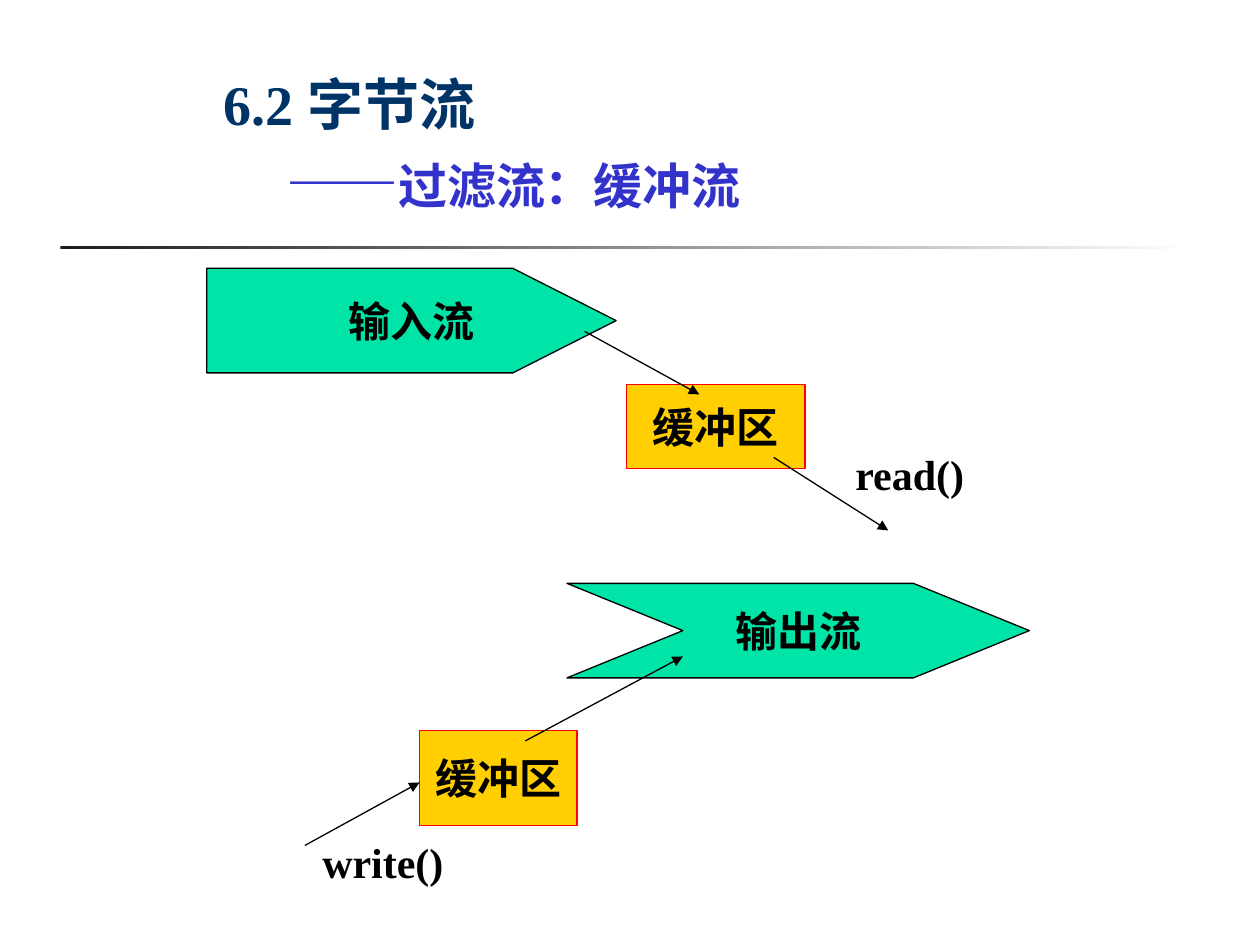
from dataclasses import dataclass

from lxml.etree import SubElement
from pptx import Presentation
from pptx.dml.color import RGBColor
from pptx.enum.shapes import MSO_CONNECTOR, MSO_SHAPE
from pptx.enum.text import MSO_ANCHOR, MSO_AUTO_SIZE, PP_ALIGN
from pptx.oxml.ns import qn
from pptx.util import Inches, Pt

FONT = "Times New Roman"
COLORS = {
    "heading": "003366",
    "subheading": "3333CC",
    "rule": "1C1C1C",
    "white": "FFFFFF",
    "black": "000000",
    "stream": "00E4A8",
    "buffer": "FFCF01",
    "buffer_edge": "FF0000",
}


@dataclass
class Stream:
    text: str
    left: float
    top: float
    width: float
    height: float
    point: float  # length of the arrow tip
    notch: float  # depth of the cut at the tail


@dataclass
class Box:
    text: str
    left: float
    top: float
    width: float
    height: float


@dataclass
class Arrow:
    start: tuple[float, float]
    end: tuple[float, float]


STREAMS = [
    Stream("输出流", 4.5, 4.63, 3.67, 0.75, 0.92, 0.92),
    Stream("输入流", 1.64, 2.13, 3.25, 0.83, 0.82, 0),
]
BUFFERS = [
    Box("缓冲区", 3.33, 5.8, 1.25, 0.75),
    Box("缓冲区", 4.97, 3.05, 1.42, 0.67),
]
ARROWS = [
    Arrow((2.42, 6.71), (3.33, 6.21)),
    Arrow((4.17, 5.88), (5.42, 5.21)),
    Arrow((4.64, 2.63), (5.55, 3.13)),
    Arrow((6.14, 3.63), (7.05, 4.21)),
]
LABELS = [
    Box("write()", 2.46, 6.59, 1.16, 0.5),
    Box("read()", 6.69, 3.51, 1.07, 0.5),
]


def rgb(name: str) -> RGBColor:
    return RGBColor.from_string(COLORS[name])


def set_font(font, size: float, color: str) -> None:
    font.name = FONT
    font.size = Pt(size)
    font.bold = True
    font.color.rgb = rgb(color)


def write_text(shape, text: str, align: PP_ALIGN, anchor: MSO_ANCHOR) -> None:
    frame = shape.text_frame
    frame.word_wrap = False
    frame.vertical_anchor = anchor
    para = frame.paragraphs[0]
    para.text = text
    para.alignment = align
    set_font(para.font, 24, "black")


def paint(shape, fill: str, edge: str) -> None:
    shape.shadow.inherit = False
    shape.fill.solid()
    shape.fill.fore_color.rgb = rgb(fill)
    shape.line.color.rgb = rgb(edge)
    shape.line.width = Pt(0.75)


def add_title(page) -> None:
    title = page.shapes.title
    title.left, title.top = Inches(1.67), Inches(0.5)
    title.width, title.height = Inches(6.08), Inches(1.27)
    frame = title.text_frame
    frame.word_wrap = True
    frame.auto_size = MSO_AUTO_SIZE.NONE
    frame.vertical_anchor = MSO_ANCHOR.TOP

    heading = frame.paragraphs[0]
    heading.text = "6.2 字节流"
    heading.alignment = PP_ALIGN.LEFT
    set_font(heading.font, 32, "heading")

    subheading = frame.add_paragraph()
    subheading.alignment = PP_ALIGN.LEFT
    subheading.space_before = Pt(7)
    for text, size in (("\t——", 32), ("过滤流：缓冲流", 28)):
        span = subheading.add_run()
        span.text = text
        set_font(span.font, size, "subheading")


def add_rule(page) -> None:
    rule = page.shapes.add_shape(
        MSO_SHAPE.RECTANGLE, Inches(0.48), Inches(1.95), Inches(9), Inches(0.03))
    rule.shadow.inherit = False
    rule.line.fill.background()
    rule.fill.gradient()
    rule.fill.gradient_angle = 0
    for stop, color, position in zip(
            rule.fill.gradient_stops, ("rule", "white"), (0, 1)):
        stop.color.rgb = rgb(color)
        stop.position = position


def add_stream(page, stream: Stream) -> None:
    right = stream.left + stream.width
    bottom = stream.top + stream.height
    middle = stream.top + stream.height / 2
    shoulder = right - stream.point
    outline = [(shoulder, stream.top), (right, middle),
               (shoulder, bottom), (stream.left, bottom)]
    if stream.notch:
        outline.append((stream.left + stream.notch, middle))
    builder = page.shapes.build_freeform(Inches(stream.left), Inches(stream.top))
    builder.add_line_segments([(Inches(x), Inches(y)) for x, y in outline], close=True)
    shape = builder.convert_to_shape()
    paint(shape, "stream", "black")
    write_text(shape, stream.text, PP_ALIGN.CENTER, MSO_ANCHOR.MIDDLE)


def add_buffer(page, box: Box) -> None:
    shape = page.shapes.add_shape(
        MSO_SHAPE.RECTANGLE, Inches(box.left), Inches(box.top),
        Inches(box.width), Inches(box.height))
    paint(shape, "buffer", "buffer_edge")
    write_text(shape, box.text, PP_ALIGN.CENTER, MSO_ANCHOR.MIDDLE)


def add_arrow(page, arrow: Arrow) -> None:
    points = [Inches(value) for value in arrow.start + arrow.end]
    line = page.shapes.add_connector(MSO_CONNECTOR.STRAIGHT, *points)
    line.line.color.rgb = rgb("black")
    line.line.width = Pt(0.75)
    SubElement(line.line._get_or_add_ln(), qn("a:tailEnd"), type="triangle")
    SubElement(line._element.spPr, qn("a:effectLst"))


def add_label(page, box: Box) -> None:
    label = page.shapes.add_textbox(
        Inches(box.left), Inches(box.top), Inches(box.width), Inches(box.height))
    write_text(label, box.text, PP_ALIGN.LEFT, MSO_ANCHOR.TOP)


def main() -> None:
    deck = Presentation()
    deck.slide_width, deck.slide_height = Inches(10), Inches(7.5)
    page = deck.slides.add_slide(deck.slide_layouts[5])

    # Heading and the fading rule below it
    add_title(page)
    add_rule(page)

    # Streams and buffers, then the data flow on top
    for stream in STREAMS:
        add_stream(page, stream)
    for box in BUFFERS:
        add_buffer(page, box)
    for arrow in ARROWS:
        add_arrow(page, arrow)
    for box in LABELS:
        add_label(page, box)

    deck.save("out.pptx")


if __name__ == "__main__":
    main()
